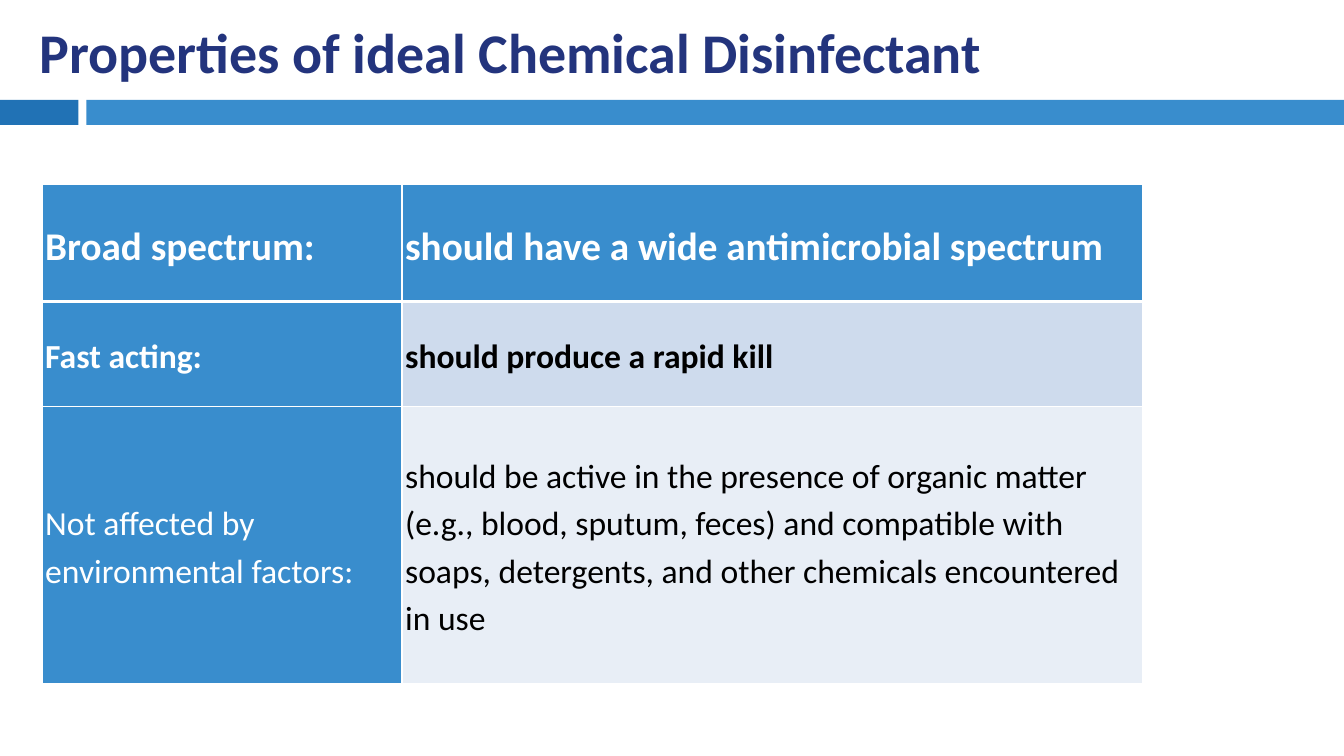
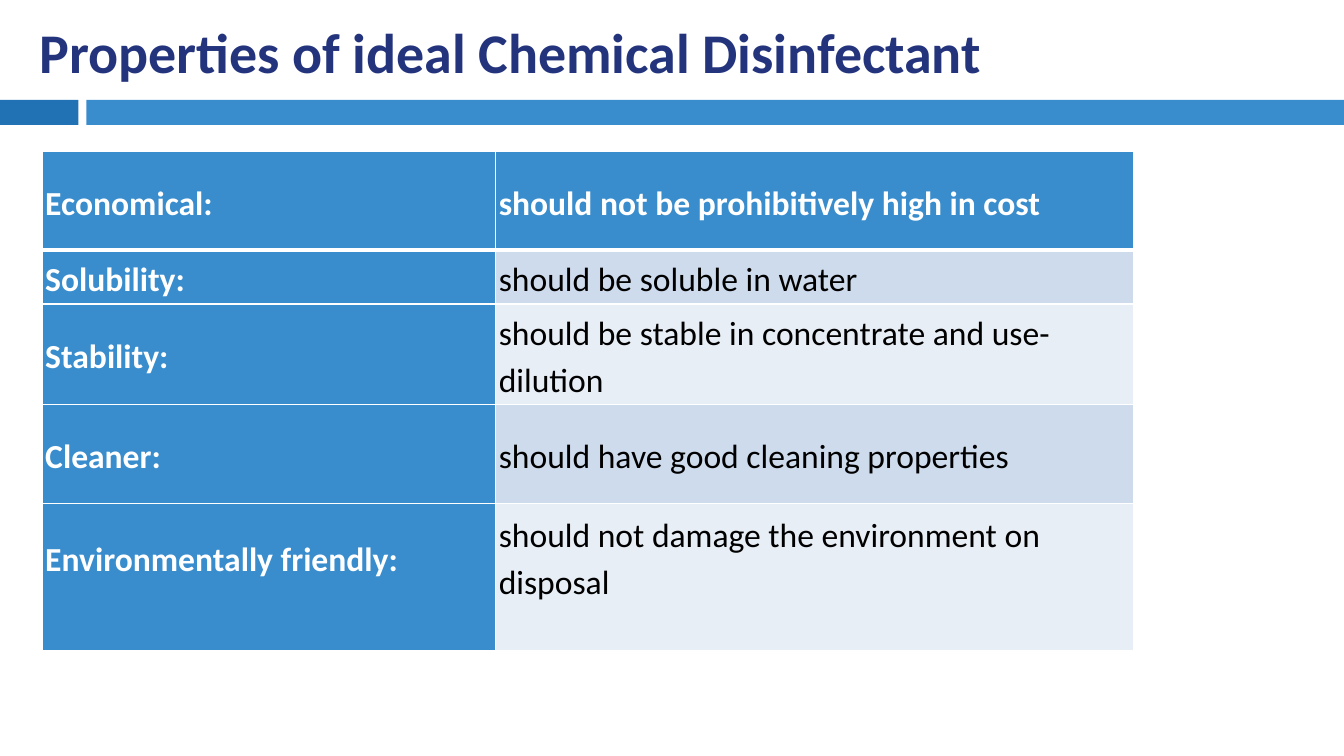
from dataclasses import dataclass

from lxml.etree import fromstring
from pptx import Presentation
from pptx.dml.color import RGBColor
from pptx.enum.shapes import MSO_SHAPE
from pptx.enum.text import MSO_ANCHOR, MSO_AUTO_SIZE, PP_ALIGN
from pptx.oxml.ns import nsdecls
from pptx.util import Cm, Pt

COLOURS = {
    "title": "23347D",
    "dark band": "2172B5",
    "band": "398DCD",
    "odd row": "CEDBED",
    "even row": "E8EEF6",
    "white": "FFFFFF",
    "black": "000000",
}
FONT = "Calibri"
TITLE = "Properties of ideal Chemical Disinfectant"
SLIDE_WIDTH, SLIDE_HEIGHT = 33.87, 19.05
BAND_TOP, BAND_HEIGHT = 2.52, 0.63
TABLE_LEFT = 1.06
CELL_MARGIN = 0.08


@dataclass
class Property:
    """One table row: a named property and what it demands."""

    label: str
    demand: str
    height: float
    label_bold: bool = True
    demand_bold: bool = False
    size: int = 24
    bottom_margin: float = CELL_MARGIN


ACTION = [
    Property("Broad spectrum:", "should have a wide antimicrobial spectrum", 2.95,
             demand_bold=True, size=28),
    Property("Fast acting:", "should produce a rapid kill", 2.64, demand_bold=True),
    Property("Not affected by environmental factors:",
             "should be active in the presence of organic matter (e.g., blood, sputum, feces) "
             "and compatible with soaps, detergents, and other chemicals encountered in use",
             6.99, label_bold=False),
]
HANDLING = [
    Property("Economical:", "should not be prohibitively high in cost", 2.48, demand_bold=True),
    Property("Solubility:", "should be soluble in water", 1.36),
    Property("Stability:", "should be stable in concentrate and use-dilution", 2.54),
    Property("Cleaner:", "should have good cleaning properties", 2.48),
    Property("Environmentally friendly:", "should not damage the environment on disposal", 3.71,
             bottom_margin=1.1),
]


def colour(name):
    """Return the named palette colour."""
    return RGBColor.from_string(COLOURS[name])


def add_span(para, text, size, colour_name, bold):
    """Add one formatted run to a paragraph."""
    span = para.add_run()
    span.text = text
    span.font.name = FONT
    span.font.size = Pt(size)
    span.font.bold = bold
    span.font.color.rgb = colour(colour_name)


def add_band(page, left, width, colour_name):
    """Draw one part of the band on the layout that the page uses."""
    band = page.shapes.add_shape(MSO_SHAPE.RECTANGLE, Cm(left), Cm(BAND_TOP),
                                 Cm(width), Cm(BAND_HEIGHT))
    band.shadow.inherit = False
    band.fill.solid()
    band.fill.fore_color.rgb = colour(colour_name)
    band.line.fill.background()
    page.slide_layout.element.cSld.spTree.append(band.element)


def style_layout(page):
    """Place the shared title and bands on the layout of the page."""
    title = page.slide_layout.placeholders[0]
    title.left, title.top, title.width, title.height = Cm(0.74), Cm(0.25), Cm(30.95), Cm(2.06)
    add_band(page, 0, 1.98, "dark band")
    add_band(page, 2.18, SLIDE_WIDTH - 2.18, "band")


def fill_title(page):
    """Write the shared title in the title placeholder."""
    frame = page.shapes.title.text_frame
    frame.auto_size = MSO_AUTO_SIZE.NONE
    frame.vertical_anchor = MSO_ANCHOR.MIDDLE
    para = frame.paragraphs[0]
    para.alignment = PP_ALIGN.LEFT
    add_span(para, TITLE, 40, "title", True)


def set_borders(cell, widths):
    """Give a cell white borders, with widths in points by side."""
    properties = cell._tc.get_or_add_tcPr()
    for position, side in enumerate("LRTB"):
        line = fromstring(
            f'<a:ln{side} {nsdecls("a")} w="{Pt(widths[side])}"><a:solidFill>'
            f'<a:srgbClr val="{COLOURS["white"]}"/></a:solidFill></a:ln{side}>')
        properties.insert(position, line)


def fill_cell(cell, item, text, bold, fill_name, text_name, widths):
    """Write and format one table cell."""
    cell.fill.solid()
    cell.fill.fore_color.rgb = colour(fill_name)
    cell.vertical_anchor = MSO_ANCHOR.MIDDLE
    cell.margin_left = cell.margin_right = cell.margin_top = Cm(CELL_MARGIN)
    cell.margin_bottom = Cm(item.bottom_margin)
    para = cell.text_frame.paragraphs[0]
    para.line_spacing = 1.15
    add_span(para, text, item.size, text_name, bold)
    set_borders(cell, widths)


def add_property_table(page, top, widths, items):
    """Add a table with a header row, a label column and banded demands."""
    height = sum(item.height for item in items)
    table = page.shapes.add_table(len(items), 2, Cm(TABLE_LEFT), Cm(top),
                                  Cm(sum(widths)), Cm(height)).table
    table.first_row = table.horz_banding = False
    for column, width in zip(table.columns, widths):
        column.width = Cm(width)
    for index, item in enumerate(items):
        table.rows[index].height = Cm(item.height)
        if index == 0:
            fill_name, text_name = "band", "white"
        else:
            fill_name, text_name = ("odd row" if index % 2 else "even row"), "black"
        borders = {"L": 1, "R": 1, "T": 3 if index == 1 else 1, "B": 3 if index == 0 else 1}
        fill_cell(table.cell(index, 0), item, item.label, item.label_bold,
                  "band", "white", borders)
        fill_cell(table.cell(index, 1), item, item.demand, item.demand_bold,
                  fill_name, text_name, borders)


def main():
    """Build and save the deck."""
    deck = Presentation()
    deck.slide_width, deck.slide_height = Cm(SLIDE_WIDTH), Cm(SLIDE_HEIGHT)
    layout = deck.slide_layouts[5]
    tables = [(4.65, (9.07, 18.67), ACTION), (3.82, (11.43, 16.08), HANDLING)]
    for number, (top, widths, items) in enumerate(tables):
        page = deck.slides.add_slide(layout)
        if number == 0:
            style_layout(page)
        fill_title(page)
        add_property_table(page, top, widths, items)
    deck.save("out.pptx")


if __name__ == "__main__":
    main()
